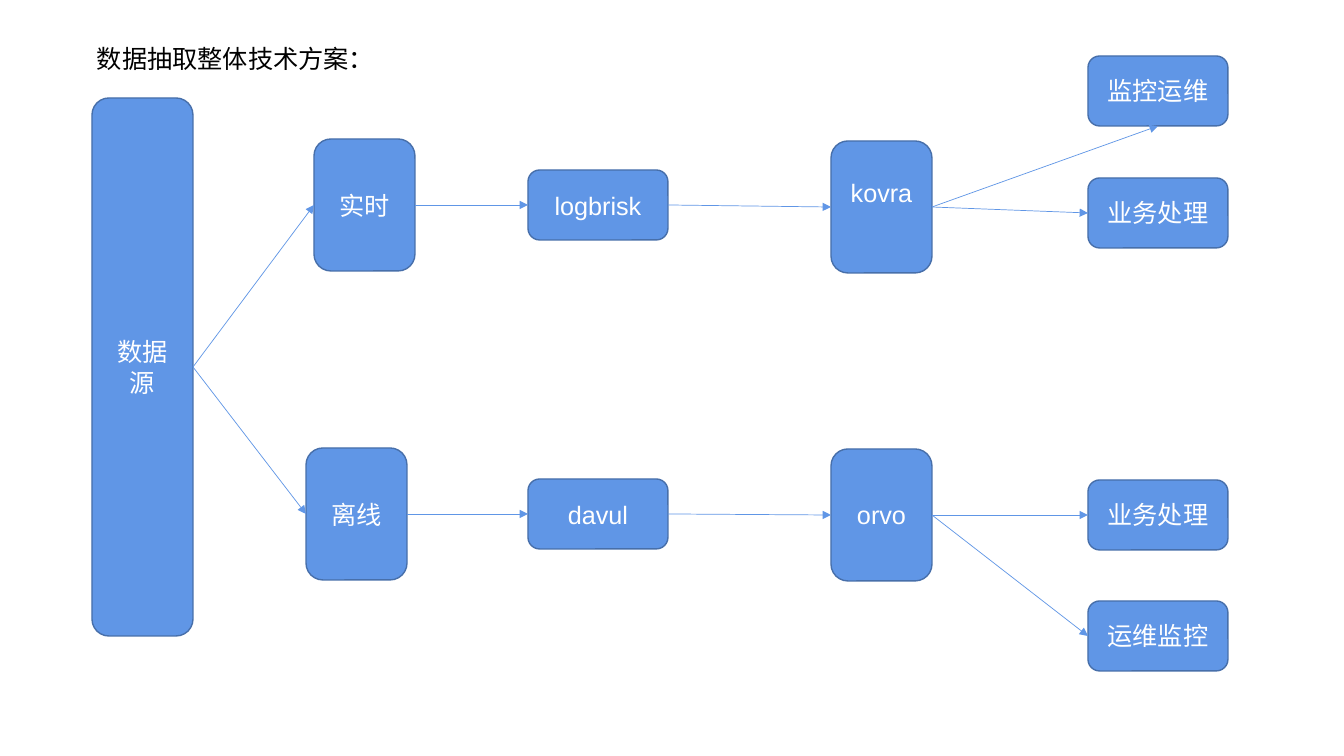
"""Build the data extraction architecture slide."""
import pptx
import pptx.util
import pptx.dml.color
import pptx.enum.shapes
import pptx.enum.text
import pptx.oxml
import pptx.oxml.ns

PX = 914400 / 100.8
COLORS = {"box": "6096E6", "outline": "476FAA", "label": "FFFFFF", "title": "000000"}
SIZES = {"source": (101, 538), "stage": (101, 132), "step": (140, 70)}
TITLE = "数据抽取整体技术方案："
NODES = {
    "offline": ("离线", "stage", 306, 448),
    "source": ("数据源", "source", 92, 98),
    "realtime": ("实时", "stage", 314, 139),
    "collector": ("logbrisk", "step", 528, 170),
    "queue": ("kovra", "stage", 831, 141),
    "warehouse": ("orvo", "stage", 831, 449),
    "transfer": ("davul", "step", 528, 479),
    "realtime_monitoring": ("监控运维", "step", 1088, 56),
    "realtime_business": ("业务处理", "step", 1088, 178),
    "offline_business": ("业务处理", "step", 1088, 480),
    "offline_monitoring": ("运维监控", "step", 1088, 601),
}
BOTTOM_INSETS = {"queue": 34}
FLOWS = [
    ("source", "realtime"), ("realtime", "collector"), ("collector", "queue"),
    ("queue", "realtime_monitoring"), ("queue", "realtime_business"),
    ("source", "offline"), ("offline", "transfer"), ("transfer", "warehouse"),
    ("warehouse", "offline_business"), ("warehouse", "offline_monitoring"),
]
LEFT, BOTTOM, RIGHT = 1, 2, 3
ENTRY_SIDES = {"realtime_monitoring": BOTTOM}


def emu(pixels):
    return pptx.util.Emu(round(pixels * PX))


def rgb(name):
    return pptx.dml.color.RGBColor.from_string(COLORS[name])


def write(shape, text, color="label", align="CENTER", anchor="MIDDLE", bottom=5):
    frame = shape.text_frame
    frame.word_wrap = True
    frame.vertical_anchor = getattr(pptx.enum.text.MSO_ANCHOR, anchor)
    frame.margin_bottom = emu(bottom)
    paragraph = frame.paragraphs[0]
    paragraph.alignment = getattr(pptx.enum.text.PP_ALIGN, align)
    run = paragraph.add_run()
    run.text = text
    run.font.name = "Arial"
    run.font.size = pptx.util.Pt(18)
    run.font.color.rgb = rgb(color)


def add_node(slide, text, size, left, top, bottom):
    node = slide.shapes.add_shape(
        pptx.enum.shapes.MSO_SHAPE.ROUNDED_RECTANGLE,
        *map(emu, (left, top, *SIZES[size])))
    node.shadow.inherit = False
    node.fill.solid()
    node.fill.fore_color.rgb = rgb("box")
    node.line.color.rgb = rgb("outline")
    node.line.width = pptx.util.Pt(1)
    write(node, text, bottom=bottom)
    return node


def add_flow(slide, start, end, entry):
    flow = slide.shapes.add_connector(
        pptx.enum.shapes.MSO_CONNECTOR.STRAIGHT, 0, 0, 0, 0)
    flow.begin_connect(start, RIGHT)
    flow.end_connect(end, entry)
    flow.line.color.rgb = rgb("box")
    flow.line.width = pptx.util.Pt(0.5)
    properties = flow.line._get_or_add_ln()
    properties.append(pptx.oxml.parse_xml(
        f'<a:tailEnd {pptx.oxml.ns.nsdecls("a")} type="triangle"/>'))
    properties.getparent().append(pptx.oxml.parse_xml(
        f'<a:effectLst {pptx.oxml.ns.nsdecls("a")}/>'))


deck = pptx.Presentation()
deck.slide_width, deck.slide_height = emu(1344), emu(756)
slide = deck.slides.add_slide(deck.slide_layouts[6])

nodes = {key: add_node(slide, *node, BOTTOM_INSETS.get(key, 5))
         for key, node in NODES.items()}
for start, end in FLOWS:
    add_flow(slide, nodes[start], nodes[end], ENTRY_SIDES.get(end, LEFT))

title = slide.shapes.add_textbox(*map(emu, (87, 38, 534, 40)))
write(title, TITLE, color="title", align="LEFT", anchor="TOP")

deck.save("out.pptx")
